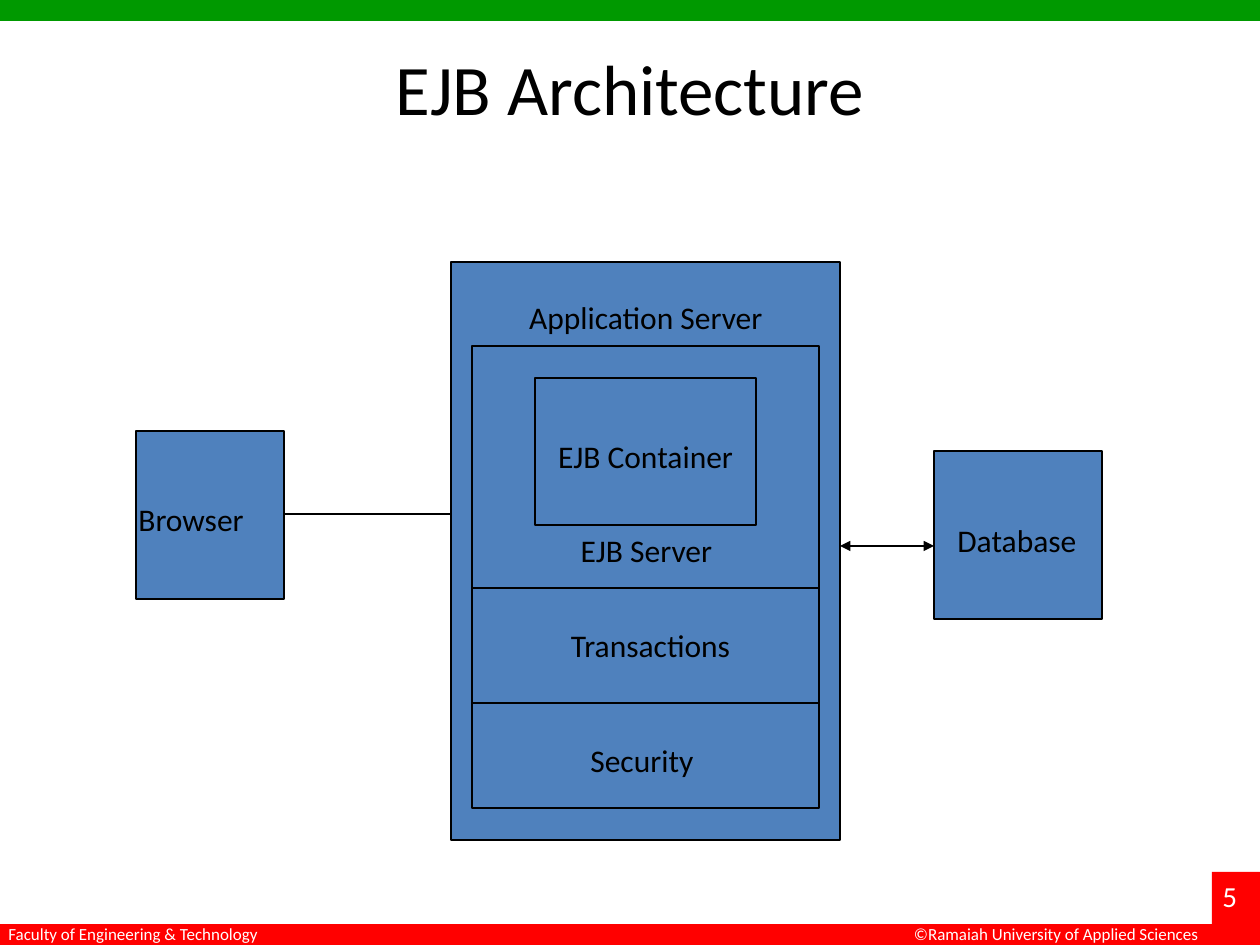
from typing import NamedTuple

from lxml import etree
from pptx import Presentation
from pptx.dml.color import RGBColor
from pptx.oxml.ns import qn
from pptx.util import Emu, Pt
from pptx.enum import shapes, text

EMU_PER_PX = 914400 / 126
FONT = "Calibri"
BLACK, WHITE = "000000", "FFFFFF"
GREEN, RED, BLUE = "009900", "FF0000", "4F81BD"
LEFT, CENTER, RIGHT = text.PP_ALIGN.LEFT, text.PP_ALIGN.CENTER, text.PP_ALIGN.RIGHT


class Block(NamedTuple):
    left: int
    top: int
    width: int
    height: int
    fill: str = BLUE
    outlined: bool = True


class Label(NamedTuple):
    words: str
    left: int
    top: int
    width: int
    height: int = 47
    align: text.PP_ALIGN = CENTER
    size: float = 18
    color: str = BLACK


class Link(NamedTuple):
    start_x: int
    end_x: int
    y: int
    arrows: bool = False


# Bands at the slide edges, with the page number tab
BANDS = [
    Block(0, 0, 1260, 21, GREEN, False),
    Block(0, 924, 1260, 21, RED, False),
    Block(1212, 872, 48, 73, RED, False),
]
BAND_LABELS = [
    Label("©Ramaiah University of Applied Sciences", 877, 917, 334, 33, RIGHT, 9.7, WHITE),
    Label("5", 1210, 872, 50, 48, LEFT, 16.6, WHITE),
    Label("Faculty of Engineering & Technology", -4, 917, 280, 33, LEFT, 9.7, WHITE),
]

TITLE = Label("EJB Architecture", 63, 38, 1134, 157, size=40.6)

# Diagram, from back to front
BLOCKS = [
    Block(136, 431, 148, 168),   # browser
    Block(451, 262, 389, 578),   # application server
    Block(472, 346, 347, 462),   # EJB server and its services
    Block(535, 378, 221, 147),   # EJB container
    Block(934, 451, 168, 168),   # database
]
LINKS = [
    Link(472, 819, 588),         # divider above transactions
    Link(472, 819, 703),         # divider above security
    Link(284, 451, 514),         # browser to server
    Link(840, 934, 546, True),   # server to database
]
LABELS = [
    Label("Browser", 126, 494, 147, align=LEFT),
    Label("Application Server", 462, 292, 368),
    Label("EJB Container", 535, 431, 221),
    Label("EJB Server", 557, 525, 179),
    Label("Transactions", 535, 620, 231),
    Label("Security", 578, 735, 157, align=LEFT),
    Label("Database", 945, 515, 147, align=LEFT),
]


def px(length: int) -> Emu:
    return Emu(round(length * EMU_PER_PX))


def rgb(color: str) -> RGBColor:
    return RGBColor.from_string(color)


def draw_block(page, block: Block) -> None:
    shape = page.shapes.add_shape(
        shapes.MSO_SHAPE.RECTANGLE,
        px(block.left), px(block.top), px(block.width), px(block.height))
    shape.shadow.inherit = False
    shape.fill.solid()
    shape.fill.fore_color.rgb = rgb(block.fill)
    if block.outlined:
        shape.line.color.rgb = rgb(BLACK)
        shape.line.width = Pt(1)
    else:
        shape.line.fill.background()


def draw_label(page, label: Label) -> None:
    box = page.shapes.add_textbox(
        px(label.left), px(label.top), px(label.width), px(label.height))
    box.text_frame.word_wrap = True
    para = box.text_frame.paragraphs[0]
    para.alignment = label.align
    span = para.add_run()
    span.text = label.words
    span.font.name = FONT
    span.font.size = Pt(label.size)
    span.font.color.rgb = rgb(label.color)


def draw_link(page, link: Link) -> None:
    line = page.shapes.add_connector(
        shapes.MSO_CONNECTOR.STRAIGHT,
        px(link.start_x), px(link.y), px(link.end_x), px(link.y))
    line.line.color.rgb = rgb(BLACK)
    line.line.width = Pt(1)
    if link.arrows:
        outline = line.line._get_or_add_ln()
        for end in ("a:headEnd", "a:tailEnd"):
            etree.SubElement(outline, qn(end), type="triangle")
    etree.SubElement(line._element.spPr, qn("a:effectLst"))


def main() -> None:
    deck = Presentation()
    deck.slide_width, deck.slide_height = px(1260), px(945)
    page = deck.slides.add_slide(deck.slide_layouts[6])
    for block in BANDS + BLOCKS:
        draw_block(page, block)
    for link in LINKS:
        draw_link(page, link)
    for label in BAND_LABELS + [TITLE] + LABELS:
        draw_label(page, label)
    deck.save("out.pptx")


if __name__ == "__main__":
    main()
